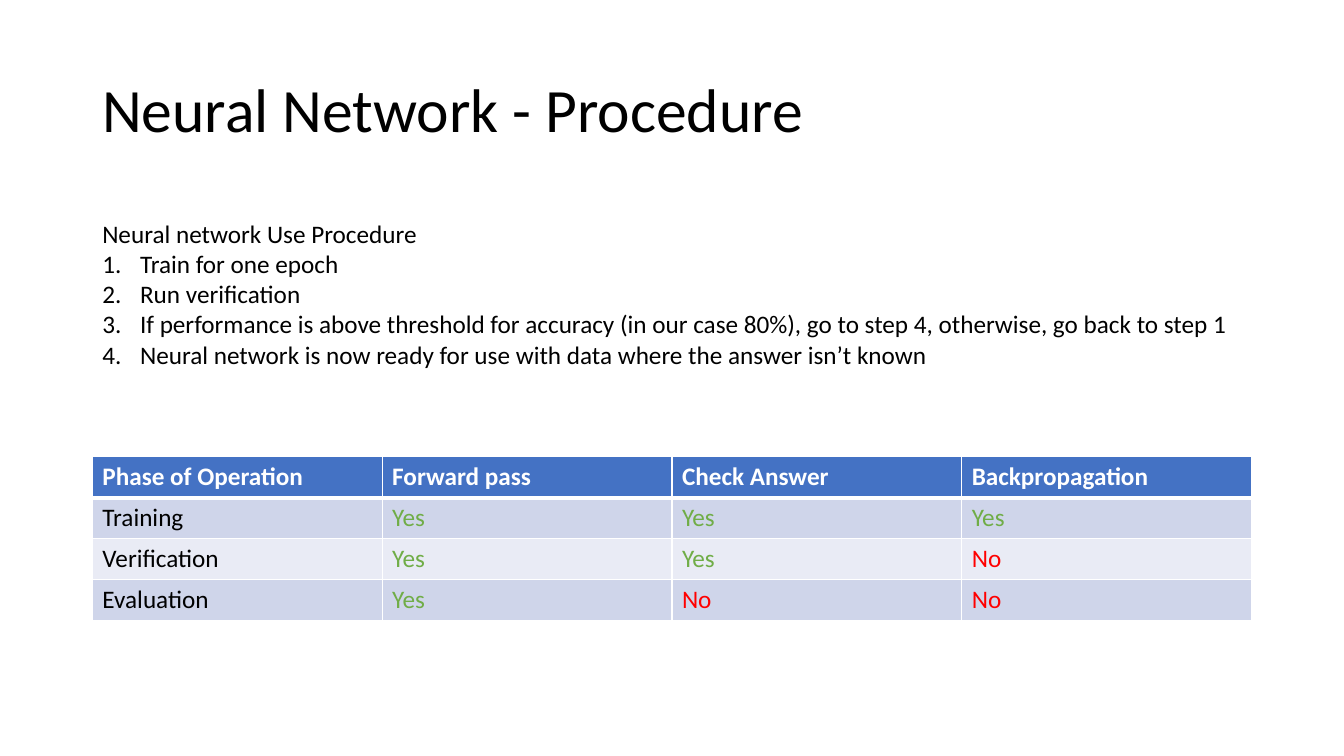
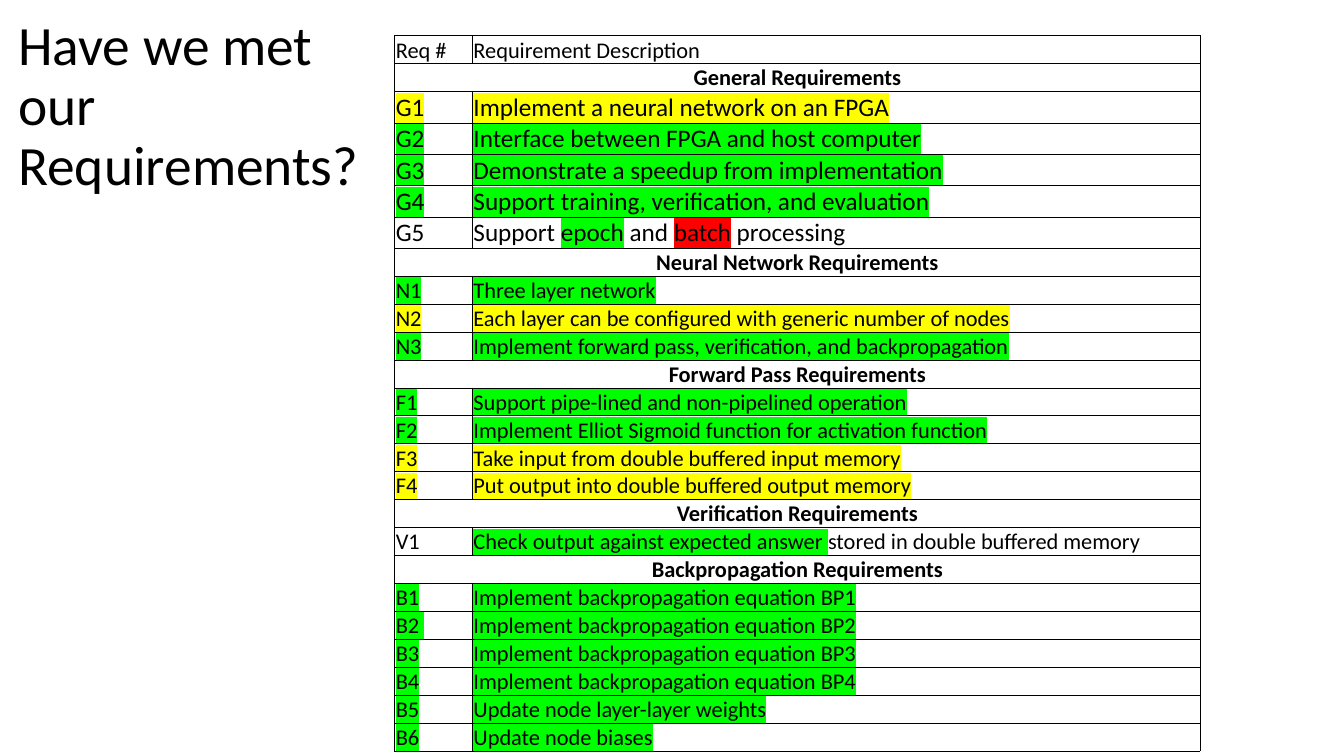
import pptx
import pptx.util
import pptx.dml.color
import pptx.enum.text
import pptx.oxml
import pptx.oxml.ns
from dataclasses import dataclass


@dataclass(frozen=True)
class Theme:
    font: str = "Calibri"
    black: str = "000000"
    white: str = "FFFFFF"
    blue: str = "4472C4"
    dark: str = "CFD5EA"
    light: str = "E9EBF5"
    green: str = "70AD47"
    red: str = "FF0000"
    lime: str = "00FF00"
    yellow: str = "FFFF00"
    title: float = 44
    small: float = 39.6
    body: float = 18
    list: float = 16


theme = Theme()
px = 9525
align = pptx.enum.text.PP_ALIGN
anchor = pptx.enum.text.MSO_ANCHOR
ns = pptx.oxml.ns.nsdecls("a")


def write(para, parts, size, color=theme.black, bold=False):
    for text, mark in parts:
        run = para.add_run()
        run.text = text
        if mark:
            run._r.get_or_add_rPr().append(pptx.oxml.parse_xml(
                f'<a:highlight {ns}><a:srgbClr val="{mark}"/></a:highlight>'))
    font = para.font
    font.name = theme.font
    font.size = pptx.util.Pt(size)
    font.bold = bold
    font.color.rgb = pptx.dml.color.RGBColor.from_string(color)


def paint(cell, color, width, base=None, fill=None):
    props = cell._tc.get_or_add_tcPr()
    for side in "LRTB":
        wide = base if side == "B" and base else width
        props.append(pptx.oxml.parse_xml(
            f'<a:ln{side} {ns} w="{int(wide * 12700)}"><a:solidFill>'
            f'<a:srgbClr val="{color}"/></a:solidFill></a:ln{side}>'))
    if fill:
        cell.fill.solid()
        cell.fill.fore_color.rgb = pptx.dml.color.RGBColor.from_string(fill)
    else:
        cell.fill.background()


deck = pptx.Presentation()
deck.slide_width = 1280 * px
deck.slide_height = 720 * px

heads = [
    ("Neural Network - Procedure", (88, 38, 1104, 139), theme.title),
    ("Have we met our Requirements?", (8, 33, 348, 139), theme.small),
]
slides = []
for text, spot, size in heads:
    slide = deck.slides.add_slide(deck.slide_layouts[6])
    frame = slide.shapes.add_textbox(*[n * px for n in spot]).text_frame
    frame.word_wrap = True
    frame.vertical_anchor = anchor.MIDDLE
    para = frame.paragraphs[0]
    para.line_spacing = 0.9
    write(para, [(text, None)], size)
    slides.append(slide)
first, second = slides

phases = [
    ["Phase of Operation", "Forward pass", "Check Answer", "Backpropagation"],
    ["Training", "Yes", "Yes", "Yes"],
    ["Verification", "Yes", "Yes", "No"],
    ["Evaluation", "Yes", "No", "No"],
]
inks = {"Yes": theme.green, "No": theme.red}
grid = first.shapes.add_table(
    4, 4, 88 * px, 435 * px, 1104 * px, 4 * 39 * px).table
grid.horz_banding = False
grid.first_row = False
for r, line in enumerate(phases):
    top = r == 0
    fill = theme.blue if top else theme.dark if r % 2 else theme.light
    for c, text in enumerate(line):
        cell = grid.cell(r, c)
        paint(cell, theme.white, 1, 3 if top else None, fill)
        ink = theme.white if top else inks.get(text, theme.black)
        write(cell.text_frame.paragraphs[0], [(text, None)], theme.body, ink, top)

steps = [
    "Neural network Use Procedure",
    "Train for one epoch",
    "Run verification",
    "If performance is above threshold for accuracy (in our case 80%), "
    "go to step 4, otherwise, go back to step 1",
    "Neural network is now ready for use with data where the answer isn’t known",
]
frame = first.shapes.add_textbox(88 * px, 203 * px, 1103 * px, 156 * px).text_frame
frame.word_wrap = False
frame.auto_size = pptx.enum.text.MSO_AUTO_SIZE.SHAPE_TO_FIT_TEXT
for i, text in enumerate(steps):
    para = frame.add_paragraph() if i else frame.paragraphs[0]
    if i:
        props = para._p.get_or_add_pPr()
        props.set("marL", str(36 * px))
        props.set("indent", str(-36 * px))
        props.append(pptx.oxml.parse_xml(
            f'<a:buAutoNum {ns} type="arabicPeriod"/>'))
    write(para, [(text, None)], theme.body)

lime, yellow = theme.lime, theme.yellow
needs = [
    ("Req #", None, "Requirement Description"),
    ("General Requirements",),
    ("G1", yellow, "Implement a neural network on an FPGA"),
    ("G2", lime, "Interface between FPGA and host computer"),
    ("G3", lime, "Demonstrate a speedup from implementation"),
    ("G4", lime, "Support training, verification, and evaluation"),
    ("G5", None, [("Support ", None), ("epoch", lime), (" and ", None),
                  ("batch", theme.red), (" processing", None)]),
    ("Neural Network Requirements",),
    ("N1", lime, "Three layer network"),
    ("N2", yellow, "Each layer can be configured with generic number of nodes"),
    ("N3", lime, "Implement forward pass, verification, and backpropagation"),
    ("Forward Pass Requirements",),
    ("F1", lime, "Support pipe-lined and non-pipelined operation"),
    ("F2", lime, "Implement Elliot Sigmoid function for activation function"),
    ("F3", yellow, "Take input from double buffered input memory"),
    ("F4", yellow, "Put output into double buffered output memory"),
    ("Verification Requirements",),
    ("V1", None, [("Check output against expected answer ", lime),
                  ("stored in double buffered memory", None)]),
    ("Backpropagation Requirements",),
    ("B1", lime, "Implement backpropagation equation BP1"),
    ("B2 ", lime, "Implement backpropagation equation BP2"),
    ("B3", lime, "Implement backpropagation equation BP3"),
    ("B4", lime, "Implement backpropagation equation BP4"),
    ("B5", lime, "Update node layer-layer weights"),
    ("B6", lime, "Update node biases"),
]
grid = second.shapes.add_table(
    len(needs), 2, 376 * px, 34 * px, 767 * px, len(needs) * 18 * px).table
grid.horz_banding = False
grid.first_row = False
grid.columns[0].width = 74 * px
grid.columns[1].width = 693 * px
for r, need in enumerate(needs):
    group = len(need) == 1
    if group:
        texts = [[(need[0], None)], []]
        grid.cell(r, 0).merge(grid.cell(r, 1))
    else:
        key, mark, text = need
        texts = [[(key, mark)], [(text, mark)] if isinstance(text, str) else text]
    size = theme.body if not group and need[0][0] == "G" else theme.list
    for c, parts in enumerate(texts):
        cell = grid.cell(r, c)
        cell.margin_left = cell.margin_right = cell.margin_top = px
        cell.margin_bottom = 0
        cell.vertical_anchor = anchor.BOTTOM
        paint(cell, theme.black, 0.5)
        para = cell.text_frame.paragraphs[0]
        if group:
            para.alignment = align.CENTER
        write(para, parts, size, bold=group)

deck.save("out.pptx")
